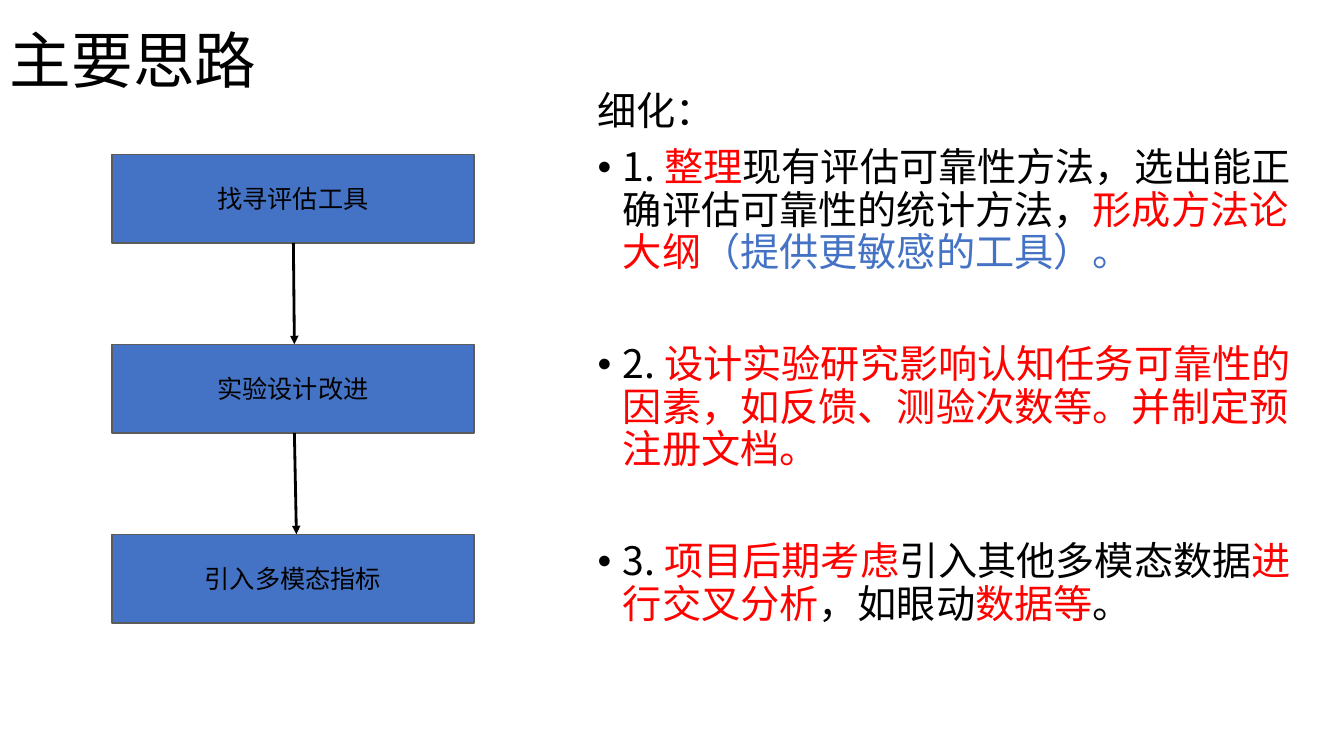
from lxml import etree
from pptx import Presentation
from pptx.dml.color import RGBColor
from pptx.enum.shapes import MSO_CONNECTOR as CONN, MSO_SHAPE as SHAPE
from pptx.enum.text import MSO_ANCHOR as ANCHOR, PP_ALIGN as ALIGN
from pptx.oxml.ns import qn
from pptx.util import Inches, Pt

FONT = "Noto Sans CJK SC"
BLACK, RED, BLUE, GRAY = "000000", "FF0200", "4472C4", "5C5C5C"

STEPS = ["找寻评估工具", "实验设计改进", "引入多模态指标"]
STEP_LEFT, STEP_TOP, STEP_W, STEP_H, STEP_PITCH = 1.11, 1.53, 3.59, 0.88, 1.885

DETAILS = [
    [("1. ", BLACK), ("整理", RED),
     ("现有评估可靠性方法，选出能正确评估可靠性的统计方法，", BLACK),
     ("形成方法论大纲", RED), ("（提供更敏感的工具）。", BLUE)],
    [("2. ", BLACK),
     ("设计实验研究影响认知任务可靠性的因素，如反馈、测验次数等。并制定预注册文档。", RED)],
    [("3. ", BLACK), ("项目后期考虑", RED), ("引入其他多模态数据", BLACK),
     ("进行交叉分析", RED), ("，如眼动", BLACK), ("数据等", RED), ("。", BLACK)],
]


def rgb(color):
    return RGBColor.from_string(color)


def add_runs(p, runs, size):
    p.font.size = Pt(size)
    p.font.name = FONT
    for text, color in runs:
        r = p.add_run()
        r.text = text
        r.font.size = Pt(size)
        r.font.name = FONT
        r.font.color.rgb = rgb(color)
        # East Asian typeface
        etree.SubElement(r.font._element, qn("a:ea"), typeface=FONT)


def add_text_box(slide, left, top, width, height, anchor):
    tf = slide.shapes.add_textbox(
        Inches(left), Inches(top), Inches(width), Inches(height)).text_frame
    tf.word_wrap = True
    tf.vertical_anchor = anchor
    return tf


def set_bullet(p):
    pPr = p._p.get_or_add_pPr()
    pPr.set("marL", str(Inches(0.25)))
    pPr.set("indent", str(-Inches(0.25)))
    bullet_font = etree.Element(qn("a:buFont"), typeface="Arial")
    bullet = etree.Element(qn("a:buChar"), char="•")
    defaults = pPr.find(qn("a:defRPr"))
    defaults.addprevious(bullet_font)
    defaults.addprevious(bullet)


def add_details(slide):
    tf = add_text_box(slide, 5.83, 0.86, 7.34, 5.78, ANCHOR.TOP)
    p = tf.paragraphs[0]
    p.line_spacing = 0.9
    p.space_before = Pt(10)
    add_runs(p, [("细化：", BLACK)], 28)
    for i, runs in enumerate(DETAILS):
        p = tf.add_paragraph()
        p.line_spacing = 0.9
        p.space_before = Pt(50 if i else 10)
        add_runs(p, runs, 28)
        set_bullet(p)


def add_step(slide, top, text):
    sp = slide.shapes.add_shape(
        SHAPE.RECTANGLE, Inches(STEP_LEFT), Inches(top), Inches(STEP_W), Inches(STEP_H))
    sp.shadow.inherit = False
    sp.fill.solid()
    sp.fill.fore_color.rgb = rgb(BLUE)
    sp.line.color.rgb = rgb(GRAY)
    sp.line.width = Pt(1)
    tf = sp.text_frame
    tf.vertical_anchor = ANCHOR.MIDDLE
    p = tf.paragraphs[0]
    p.alignment = ALIGN.CENTER
    add_runs(p, [(text, BLACK)], 18)


def add_arrow(slide, x1, y1, x2, y2):
    line = slide.shapes.add_connector(
        CONN.STRAIGHT, Inches(x1), Inches(y1), Inches(x2), Inches(y2))
    line.line.color.rgb = rgb(BLACK)
    line.line.width = Pt(2)
    etree.SubElement(line.line._get_or_add_ln(), qn("a:tailEnd"), type="triangle")
    etree.SubElement(line._element.spPr, qn("a:effectLst"))


def main():
    prs = Presentation()
    prs.slide_width, prs.slide_height = Inches(13.33), Inches(7.5)
    slide = prs.slides.add_slide(prs.slide_layouts[6])

    # Title
    tf = add_text_box(slide, 0, 0.08, 6.21, 1.1, ANCHOR.MIDDLE)
    tf.paragraphs[0].line_spacing = 0.9
    add_runs(tf.paragraphs[0], [("主要思路", BLACK)], 44)

    # Detailed points
    add_details(slide)

    # Flow of steps
    tops = [STEP_TOP + i * STEP_PITCH for i in range(len(STEPS))]
    for top, text in zip(tops, STEPS):
        add_step(slide, top, text)

    # Arrows between steps
    arrow_xs = [2.91, 2.92, 2.94]
    for i in range(len(STEPS) - 1):
        add_arrow(slide, arrow_xs[i], tops[i] + STEP_H, arrow_xs[i + 1], tops[i + 1])

    prs.save("out.pptx")


if __name__ == "__main__":
    main()
